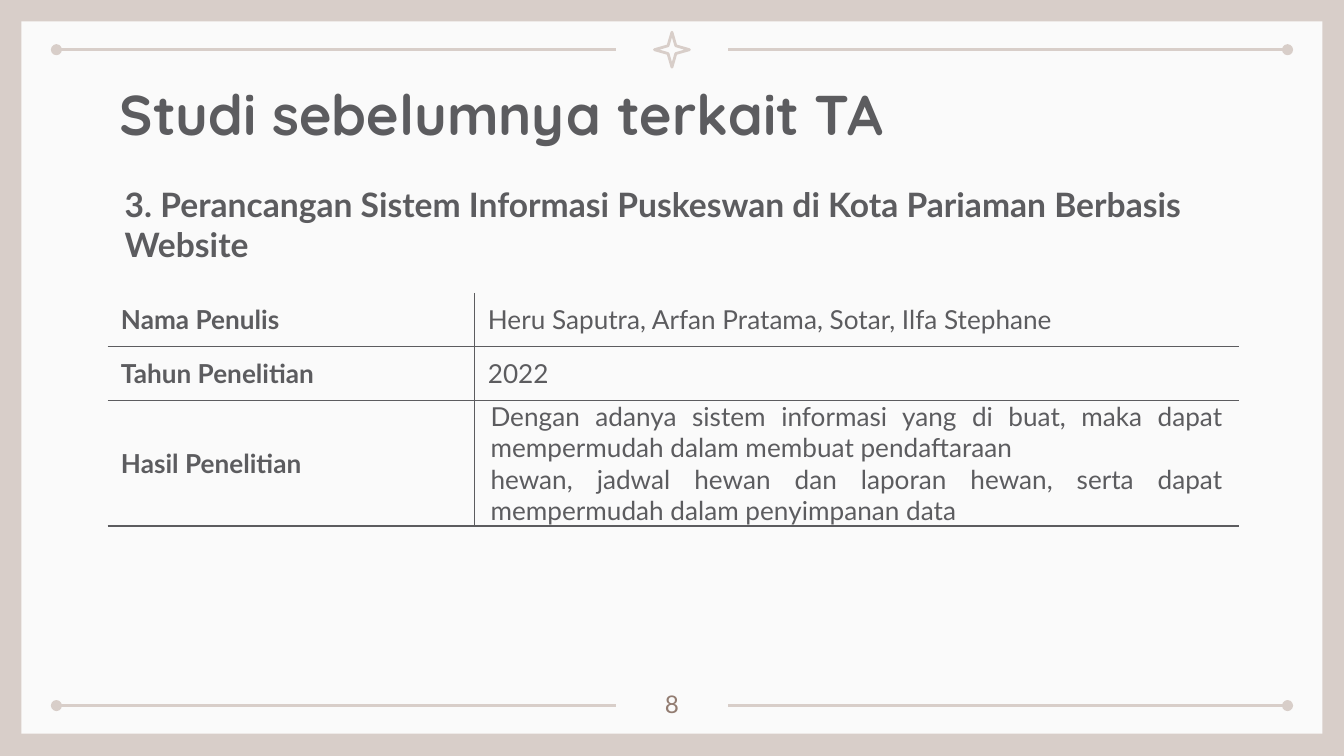
"""Build the slide on a previous study: title, study name and a summary table."""
from lxml import etree
from pptx import Presentation
from pptx.dml.color import RGBColor
from pptx.enum.shapes import MSO_CONNECTOR, MSO_SHAPE
from pptx.enum.text import MSO_ANCHOR, PP_ALIGN
from pptx.oxml.ns import qn
from pptx.util import Inches, Pt

LEFT, CENTER, JUSTIFY = PP_ALIGN.LEFT, PP_ALIGN.CENTER, PP_ALIGN.JUSTIFY
TOP, MIDDLE = MSO_ANCHOR.TOP, MSO_ANCHOR.MIDDLE
STRAIGHT = MSO_CONNECTOR.STRAIGHT
RECTANGLE, STAR = MSO_SHAPE.RECTANGLE, MSO_SHAPE.STAR_4_POINT

WIDTH = 10
HEIGHT = WIDTH * 9 / 16
BEIGE, PAPER, INK, BROWN = "D8CEC9", "FAFAFA", "5C5C5F", "927C71"

TITLE = "Studi sebelumnya terkait TA"
STUDY = "3. Perancangan Sistem Informasi Puskeswan di Kota Pariaman Berbasis Website"
PAGE = "8"
FACTS = [
    ("Nama Penulis", ["Heru Saputra, Arfan Pratama, Sotar, Ilfa Stephane"]),
    ("Tahun Penelitian", ["2022"]),
    ("Hasil Penelitian", [
        "Dengan adanya sistem informasi yang di buat, maka dapat mempermudah dalam membuat pendaftaraan",
        "hewan, jadwal hewan dan laporan hewan, serta dapat mempermudah dalam penyimpanan data",
    ]),
]
COLUMN_WIDTHS = [2.73, 5.69]
ROW_HEIGHTS = [0.4, 0.4, 0.93]

TITLE_FONT = {"name": "Quicksand", "size": Pt(30), "bold": True}
STUDY_FONT = {"name": "Lato", "size": Pt(18), "bold": True}
LABEL_FONT = {"name": "Lato", "size": Pt(14), "bold": True}
FACT_FONT = {"name": "Lato", "size": Pt(14), "bold": False}
PAGE_FONT = {"name": "Lato", "size": Pt(13), "bold": False}


def rgb(value):
    return RGBColor.from_string(value)


def write(frame, lines, font, color=INK, align=LEFT):
    for index, line in enumerate(lines):
        paragraph = frame.add_paragraph() if index else frame.paragraphs[0]
        paragraph.alignment = align
        run = paragraph.add_run()
        run.text = line
        for key, value in font.items():
            setattr(run.font, key, value)
        run.font.color.rgb = rgb(color)


def set_frame(frame, pad_x=0.1, pad_y=0.1):
    values = {
        "word_wrap": True, "vertical_anchor": TOP,
        "margin_left": Inches(pad_x), "margin_right": Inches(pad_x),
        "margin_top": Inches(pad_y), "margin_bottom": Inches(pad_y),
    }
    for key, value in values.items():
        setattr(frame, key, value)


def box(left, top, width, height):
    return [Inches(value) for value in (left, top, width, height)]


def add_rule(slide, outer, inner, y):
    rule = slide.shapes.add_connector(
        STRAIGHT, Inches(outer), Inches(y), Inches(inner), Inches(y))
    rule.line.color.rgb = rgb(BEIGE)
    rule.line.width = Pt(1.5)
    etree.SubElement(rule.line._get_or_add_ln(), qn("a:headEnd"), type="oval")
    etree.SubElement(rule._element.spPr, qn("a:effectLst"))


def add_frame(slide):
    slide.background.fill.solid()
    slide.background.fill.fore_color.rgb = rgb(BEIGE)
    panel = slide.shapes.add_shape(RECTANGLE, *box(0.16, 0.16, 9.68, 5.3))
    panel.shadow.inherit = False
    panel.fill.solid()
    panel.fill.fore_color.rgb = rgb(PAPER)
    panel.line.fill.background()
    for y in (0.37, 5.25):
        add_rule(slide, 0.42, 4.58, y)
        add_rule(slide, WIDTH - 0.42, WIDTH - 4.58, y)
    star = slide.shapes.add_shape(STAR, *box(4.87, 0.24, 0.26, 0.26))
    star.shadow.inherit = False
    star.adjustments[0] = 0.157
    star.fill.background()
    star.line.color.rgb = rgb(BEIGE)
    star.line.width = Pt(1.5)


def set_borders(cell, visible):
    properties = cell._tc.get_or_add_tcPr()
    for side in "LRTB":
        border = etree.SubElement(properties, qn(f"a:ln{side}"), w=str(Pt(0.75)))
        if side in visible:
            fill = etree.SubElement(border, qn("a:solidFill"))
            etree.SubElement(fill, qn("a:srgbClr"), val=INK)
        else:
            etree.SubElement(border, qn("a:noFill"))
    cell.fill.background()


def add_facts(slide):
    table = slide.shapes.add_table(
        len(FACTS), len(COLUMN_WIDTHS),
        *box(0.8, 2.18, sum(COLUMN_WIDTHS), sum(ROW_HEIGHTS))).table
    table.first_row = table.horz_banding = False
    for column, width in zip(table.columns, COLUMN_WIDTHS):
        column.width = Inches(width)
    for index, (label, facts) in enumerate(FACTS):
        table.rows[index].height = Inches(ROW_HEIGHTS[index])
        long = len(facts) > 1
        above = "T" if index else ""
        columns = [
            ([label], LABEL_FONT, LEFT, MIDDLE, 0.1, "RB"),
            (facts, FACT_FONT, JUSTIFY if long else LEFT,
             TOP if long else MIDDLE, 0.12 if long else 0.1, "LB"),
        ]
        for column, (lines, font, align, anchor, pad, sides) in enumerate(columns):
            cell = table.cell(index, column)
            set_borders(cell, sides + above)
            cell.margin_left = cell.margin_right = Inches(pad)
            cell.margin_top = cell.margin_bottom = 0
            cell.vertical_anchor = anchor
            write(cell.text_frame, lines, font, align=align)


def add_text(slide, place, text, font, color=INK, align=LEFT, pad_y=0.1):
    frame = slide.shapes.add_textbox(*box(*place)).text_frame
    set_frame(frame, pad_y=pad_y)
    write(frame, [text], font, color, align)


def main():
    deck = Presentation()
    deck.slide_width, deck.slide_height = Inches(WIDTH), Inches(HEIGHT)
    slide = deck.slides.add_slide(deck.slide_layouts[5])
    add_frame(slide)
    title = slide.shapes.title
    title.left, title.top, title.width, title.height = box(0.79, 0.49, 8.43, 0.63)
    set_frame(title.text_frame)
    write(title.text_frame, [TITLE], TITLE_FONT)
    slide.shapes._spTree.append(title._element)
    add_facts(slide)
    add_text(slide, (4.7, 5.03, 0.6, 0.36), PAGE, PAGE_FONT, BROWN, CENTER)
    add_text(slide, (0.83, 1.32, 8.43, 0.71), STUDY, STUDY_FONT, pad_y=0.05)
    deck.save("out.pptx")


if __name__ == "__main__":
    main()
